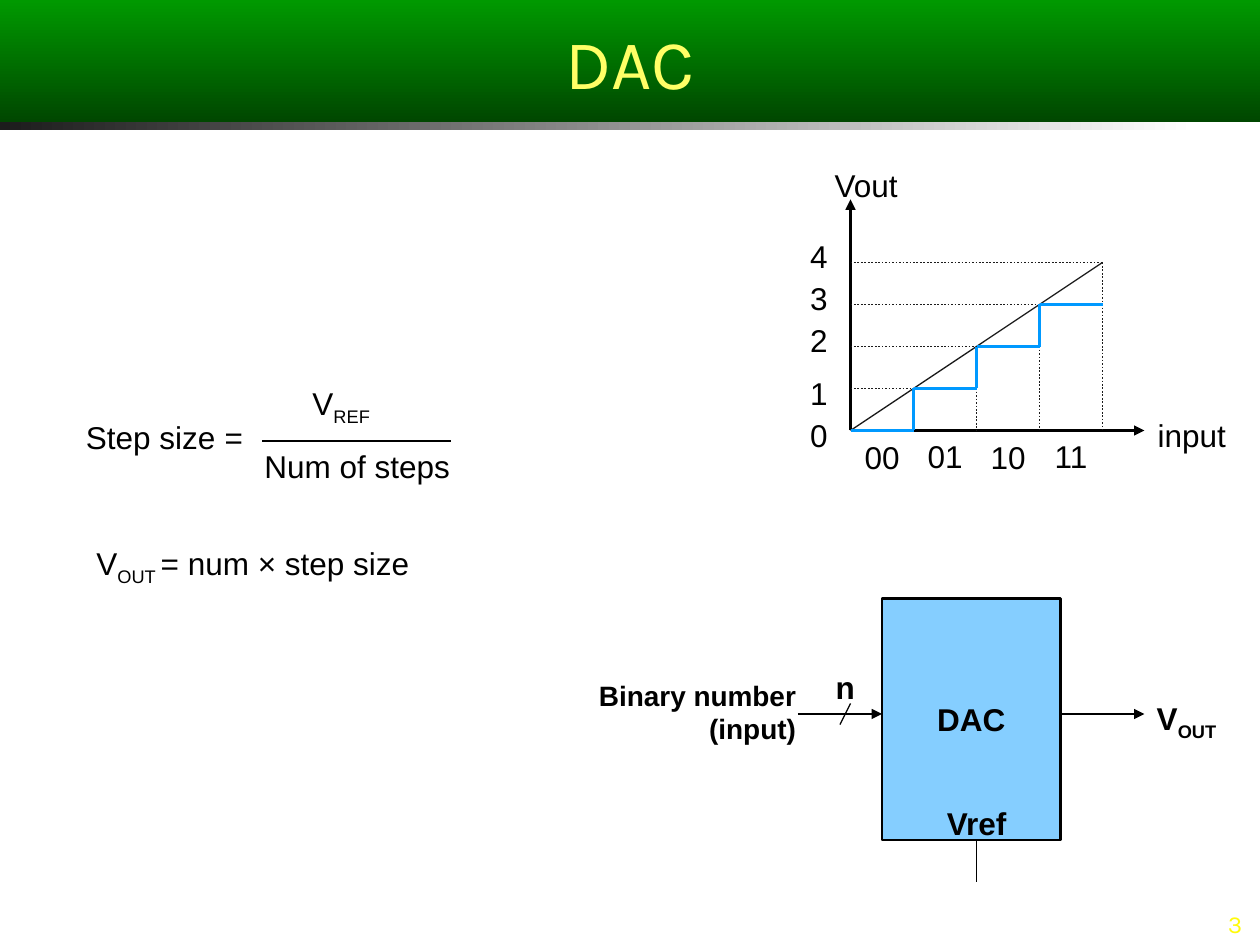
from lxml.etree import SubElement
from pptx import Presentation
from pptx.dml.color import RGBColor
from pptx.enum.dml import MSO_LINE as Dash
from pptx.enum.shapes import MSO_CONNECTOR as Connector, MSO_SHAPE as Shape
from pptx.enum.text import MSO_ANCHOR as Anchor, PP_ALIGN as Align
from pptx.oxml.ns import qn
from pptx.util import Inches, Pt

BLACK = RGBColor(0x00, 0x00, 0x00)
WHITE = RGBColor(0xFF, 0xFF, 0xFF)
CHARCOAL = RGBColor(0x1C, 0x1C, 0x1C)
GREEN = RGBColor(0x00, 0x99, 0x00)
DARK_GREEN = RGBColor(0x00, 0x47, 0x00)
TITLE_YELLOW = RGBColor(0xFF, 0xFF, 0x66)
NUMBER_YELLOW = RGBColor(0xFF, 0xFB, 0x0B)
STEP_BLUE = RGBColor(0x00, 0x99, 0xFF)
BLOCK_BLUE = RGBColor(0x85, 0xCE, 0xFF)


def unit(count):
    """Length of a number of grid cells; the grid has 12 cells to the inch."""
    return Inches(count / 12)


def sub(text):
    return text, "sub"


def italic(text):
    return text, "italic"


def write(frame, *spans, size=18, font="Arial", color=BLACK, bold=False,
          align=Align.CENTER, anchor=Anchor.TOP, wrap=True):
    """Fill a text frame with one paragraph of plain or marked spans."""
    frame.word_wrap = wrap
    frame.vertical_anchor = anchor
    para = frame.paragraphs[0]
    para.alignment = align
    for piece in spans:
        text, mark = (piece, None) if isinstance(piece, str) else piece
        span = para.add_run()
        span.text = text
        span.font.name = font
        span.font.size = Pt(size)
        span.font.bold = bold
        span.font.color.rgb = color
        if mark == "italic":
            span.font.italic = True
        elif mark == "sub":
            span.font._element.set("baseline", "-25000")


class Page:
    """Draws on one slide, in columns and rows of the grid."""

    def __init__(self, deck):
        self.shapes = deck.slides.add_slide(deck.slide_layouts[6]).shapes

    def text(self, column, row, columns, *spans, rows=4.8, **style):
        box = self.shapes.add_textbox(unit(column), unit(row),
                                      unit(columns), unit(rows))
        write(box.text_frame, *spans, **style)

    def block(self, column, row, columns, rows):
        box = self.shapes.add_shape(Shape.RECTANGLE, unit(column), unit(row),
                                    unit(columns), unit(rows))
        box.shadow.inherit = False
        box.line.fill.background()
        return box

    def band(self, row, columns, rows, colors, angle):
        box = self.block(0, row, columns, rows)
        box.fill.gradient()
        box.fill.gradient_angle = angle
        for stop, color in zip(box.fill.gradient_stops, colors):
            stop.color.rgb = color
        return box

    def line(self, start, end, color=BLACK, width=0.75, dash=None, arrow=False):
        line = self.shapes.add_connector(
            Connector.STRAIGHT, *map(unit, start), *map(unit, end))
        line.line.color.rgb = color
        line.line.width = Pt(width)
        if dash:
            line.line.dash_style = dash
        if arrow:
            SubElement(line.line._get_or_add_ln(), qn("a:tailEnd"), type="triangle")
        SubElement(line._element.spPr, qn("a:effectLst"))

    def dotted(self, start, end):
        self.line(start, end, CHARCOAL, 1, Dash.ROUND_DOT)


def draw_header(page):
    page.band(11.64, 114, 0.75, (CHARCOAL, WHITE), 0)
    title = page.band(0, 120, 11.64, (GREEN, DARK_GREEN), 270)
    write(title.text_frame, "DAC", size=40, font="Karla", color=TITLE_YELLOW,
          anchor=Anchor.MIDDLE)


def draw_staircase(page):
    left, base, run, rise, steps = 81, 41, 6, 4, 4
    corners = [(left + run * n, base - rise * n) for n in range(steps + 1)]

    # Axes
    page.line((left, base), (left, 19), width=1.5, arrow=True)
    page.line((left, base), (109, base), width=1.5, arrow=True)

    # Guides from each corner to the axes, and the ideal slope
    for number, (x, y) in enumerate(corners[1:], 1):
        page.dotted((left, y), (x, y))
        if number > 1:
            page.dotted((x, y), (x, base))
    page.line(corners[0], corners[-1], CHARCOAL)

    # Treads and risers
    for number, (x, y) in enumerate(corners[:-1]):
        page.line((x, y), (x + run, y), STEP_BLUE, 2.25)
        if number < steps - 1:
            page.line((x + run, y), (x + run, y - rise), STEP_BLUE, 2.25)

    # Labels
    for number, row in enumerate((41.16, 41, 41.16, 41)):
        page.text(left - 2 + run * number, row, 10, f"{number:02b}")
    for number, row in enumerate((39, 35, 30, 26, 22)):
        page.text(75, row, 6, str(number))
    page.text(109, 39, 9, "input")
    page.text(78, 15.24, 9, "Vout")


def draw_converter(page):
    block = page.block(84, 57, 17, 23)
    block.fill.solid()
    block.fill.fore_color.rgb = BLOCK_BLUE
    block.line.color.rgb = BLACK
    block.line.width = Pt(1.5)
    write(block.text_frame, "DAC", bold=True, anchor=Anchor.MIDDLE, wrap=False)

    # Input bus, output and reference
    page.line((76, 68), (84, 68), arrow=True)
    page.line((81, 67), (80, 69))
    page.line((101, 68), (109, 68), arrow=True)
    page.line((93, 80), (93, 84))
    page.text(88, 76, 10, "Vref", bold=True)
    page.text(108, 66, 10, "V", sub("OUT"), rows=5.3, bold=True)
    page.text(53, 64, 24, "Binary number (input)", rows=7.7, size=16,
              bold=True, align=Align.RIGHT)
    page.text(75, 63, 11, "n", bold=True)


def draw_formulas(page):
    page.text(7, 39.24, 19, "Step size", italic(" ="), align=Align.LEFT)
    page.line((25, 42), (43, 42), width=1.5)
    page.text(26, 36, 13, "V", sub("REF"), rows=5.3)
    page.text(24, 42, 21, "Num of steps", align=Align.LEFT)
    page.text(8, 51.24, 36, "V", sub("OUT "), "= num × step size",
              rows=5.3, align=Align.LEFT)


def main():
    deck = Presentation()
    deck.slide_width, deck.slide_height = Inches(10), Inches(7.5)
    page = Page(deck)
    draw_header(page)
    draw_staircase(page)
    draw_converter(page)
    draw_formulas(page)
    # Page number
    page.text(94, 86.64, 25.5, "3", rows=3.36, size=14, font="Karla",
              color=NUMBER_YELLOW, align=Align.RIGHT, anchor=Anchor.BOTTOM)
    deck.save("out.pptx")


if __name__ == "__main__":
    main()
